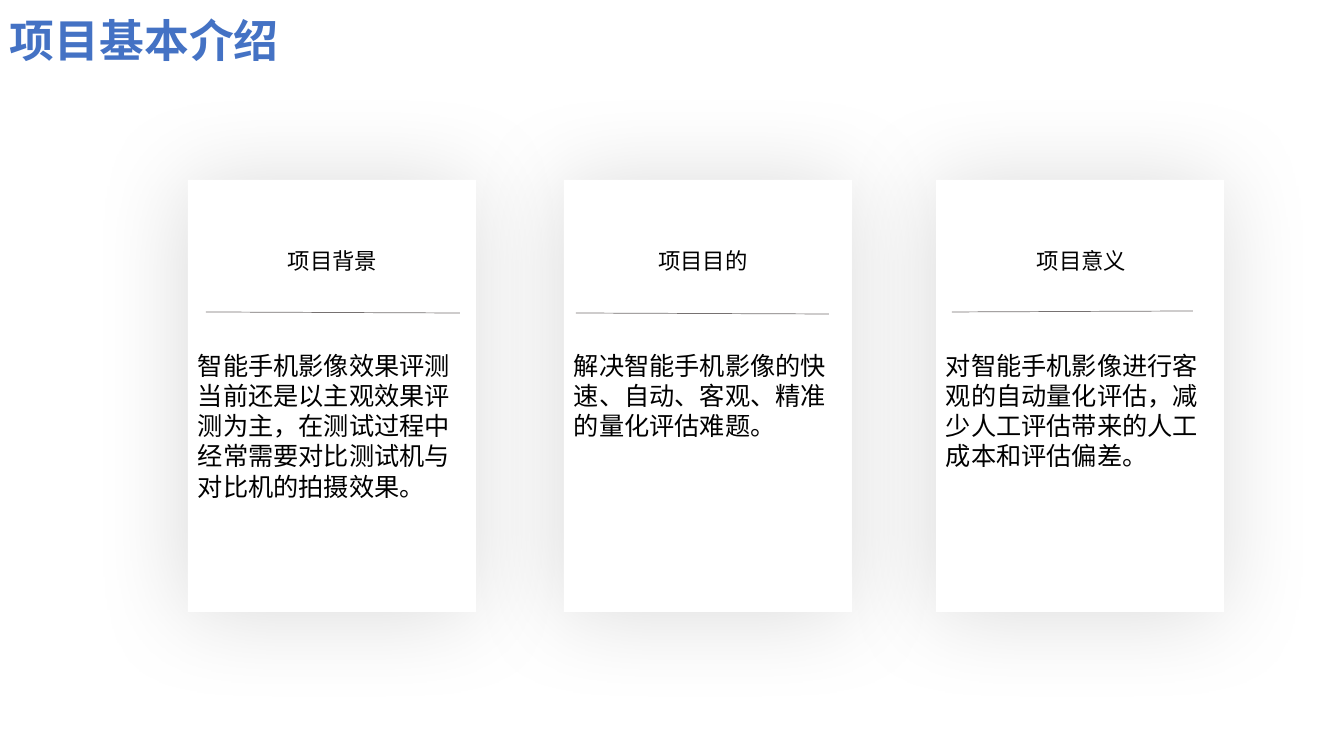
from dataclasses import dataclass

from lxml.etree import SubElement
from pptx import Presentation
from pptx.dml.color import RGBColor
from pptx.enum.shapes import MSO_CONNECTOR, MSO_SHAPE
from pptx.enum.text import MSO_ANCHOR, PP_ALIGN
from pptx.oxml.ns import qn
from pptx.util import Pt

SLIDE_W, SLIDE_H = 1344, 756


@dataclass(frozen=True)
class Theme:
    title: str = "4472C4"
    text: str = "000000"
    card: str = "FFFFFF"
    rule: str = "767171"
    cjk: str = "Noto Sans CJK SC"
    latin: str = "Calibri"
    title_size: int = 32
    heading_size: int = 16
    body_size: int = 18
    rule_width: float = 0.5


THEME = Theme()

CARD_TOP, CARD_W, CARD_H = 180, 288, 432
BODY_INSET = 170
HEADING_TOP, HEADING_H = 242, 37

# Card left, rule ends (x, y), heading left and width, heading, body
CARDS = [
    (188, (206, 312), (460, 313), (206, 253), "项目背景",
     "智能手机影像效果评测当前还是以主观效果评测为主，在测试过程中经常需要对比测试机与对比机的拍摄效果。"),
    (564, (576, 313), (829, 314), (577, 252), "项目目的",
     "解决智能手机影像的快速、自动、客观、精准的量化评估难题。"),
    (936, (952, 312), (1193, 311), (959, 245), "项目意义",
     "对智能手机影像进行客观的自动量化评估，减少人工评估带来的人工成本和评估偏差。"),
]


def px(*lengths):
    return [round(n * 12192000 / SLIDE_W) for n in lengths]


def write(tf, text, font, size, color, bold=False, align=PP_ALIGN.LEFT):
    p = tf.paragraphs[0]
    p.alignment = align
    r = p.add_run()
    r.text = text
    for name, value in {"name": font, "size": Pt(size), "bold": bold}.items():
        setattr(r.font, name, value)
    r.font.color.rgb = RGBColor.from_string(color)
    # East Asian typeface
    latin = r.font._element.find(qn("a:latin"))
    ea = latin.makeelement(qn("a:ea"), {"typeface": font})
    latin.addnext(ea)


def add_label(shapes, box, text, wrap=True, **style):
    tf = shapes.add_textbox(*px(*box)).text_frame
    tf.word_wrap = wrap
    write(tf, text, **style)


def add_soft_shadow(sp):
    sp.shadow.inherit = False
    effects = sp._element.spPr.find(qn("a:effectLst"))
    shadow = SubElement(effects, qn("a:outerShdw"), blurRad=str(Pt(70)),
                        dist=str(Pt(3)), dir="8100000", algn="ctr", rotWithShape="0")
    color = SubElement(shadow, qn("a:srgbClr"), val="000000")
    SubElement(color, qn("a:alpha"), val="15000")


def add_panel(shapes, left, body):
    sp = shapes.add_shape(MSO_SHAPE.RECTANGLE, *px(left, CARD_TOP, CARD_W, CARD_H))
    sp.fill.solid()
    sp.fill.fore_color.rgb = RGBColor.from_string(THEME.card)
    sp.line.fill.background()
    add_soft_shadow(sp)
    tf = sp.text_frame
    layout = {"word_wrap": True, "vertical_anchor": MSO_ANCHOR.TOP,
              "margin_top": px(BODY_INSET)[0]}
    for name, value in layout.items():
        setattr(tf, name, value)
    write(tf, body, THEME.cjk, THEME.body_size, THEME.text)


def add_rule(shapes, start, end):
    line = shapes.add_connector(MSO_CONNECTOR.STRAIGHT, *px(*start, *end))
    line.line.color.rgb = RGBColor.from_string(THEME.rule)
    line.line.width = Pt(THEME.rule_width)
    SubElement(line._element.spPr, qn("a:effectLst"))


def add_card(s, left, start, end, heading_span, heading, body):
    shapes = s.shapes.add_group_shape().shapes
    add_panel(shapes, left, body)
    add_rule(shapes, start, end)
    heading_left, heading_w = heading_span
    add_label(shapes, (heading_left, HEADING_TOP, heading_w, HEADING_H), heading,
              font=THEME.latin, size=THEME.heading_size, color=THEME.text,
              align=PP_ALIGN.CENTER)


def main():
    prs = Presentation()
    prs.slide_width, prs.slide_height = px(SLIDE_W, SLIDE_H)
    s = prs.slides.add_slide(prs.slide_layouts[6])

    # Title
    add_label(s.shapes, (0, 8, 290, 65), "项目基本介绍", wrap=False, font=THEME.cjk,
              size=THEME.title_size, color=THEME.title, bold=True)

    # Three cards
    for card in CARDS:
        add_card(s, *card)

    prs.save("out.pptx")


if __name__ == "__main__":
    main()
